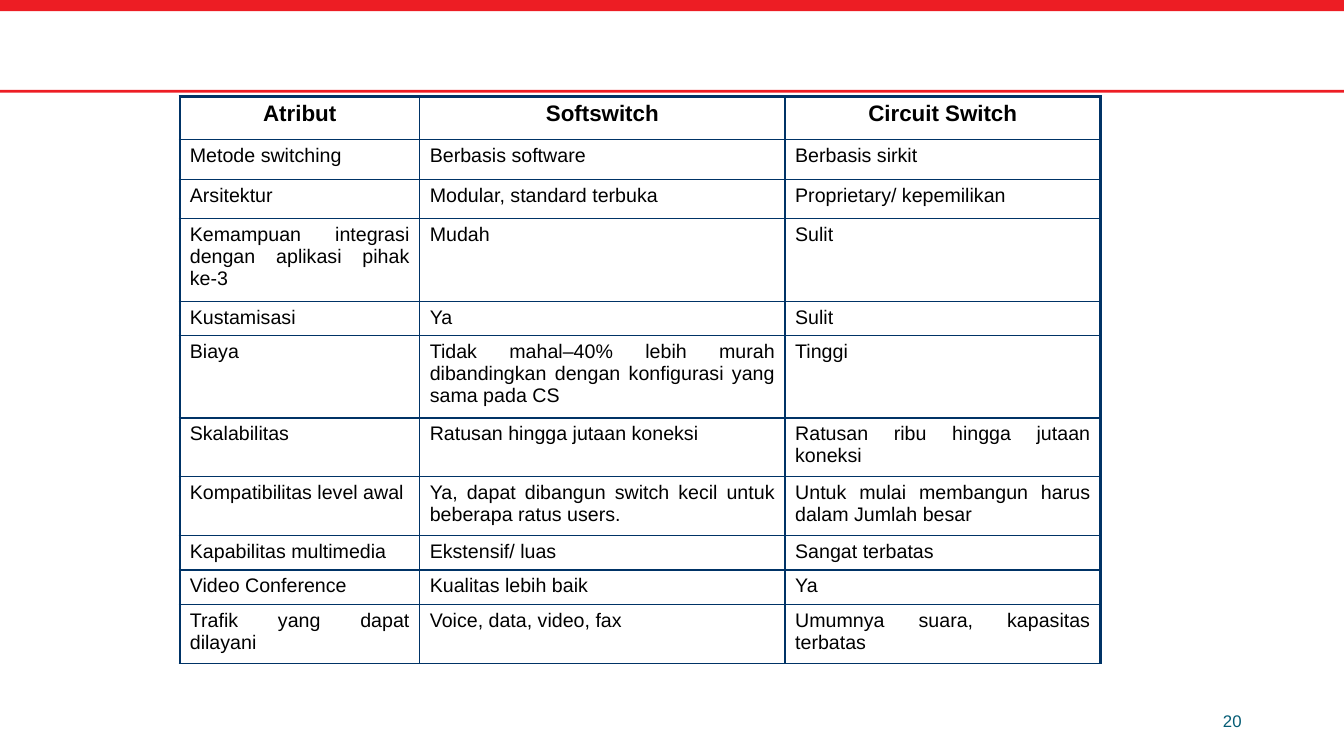
from lxml import etree
from pptx import Presentation
from pptx.dml.color import RGBColor
from pptx.enum.shapes import MSO_SHAPE
from pptx.enum.text import MSO_ANCHOR, PP_ALIGN
from pptx.oxml.ns import qn
from pptx.util import Pt

RECTANGLE = MSO_SHAPE.RECTANGLE
MIDDLE = MSO_ANCHOR.MIDDLE
CENTER, JUSTIFY, RIGHT = PP_ALIGN.CENTER, PP_ALIGN.JUSTIFY, PP_ALIGN.RIGHT

PAGE_WIDTH, PAGE_HEIGHT = 960, 540
RED, NAVY, TEAL, BLACK, WHITE = "ED1D24", "003366", "045C75", "000000", "FFFFFF"

COLUMN_WIDTHS = [171.4, 261, 225.3]
ROW_HEIGHTS = [30.8, 28.3, 28.3, 58.8, 24.7, 58.8, 41.9, 41.9, 24.7, 24.7, 41.9]
COMPARISON = [
    ("Atribut", "Softswitch", "Circuit Switch"),
    ("Metode switching", "Berbasis software", "Berbasis sirkit"),
    ("Arsitektur", "Modular, standard terbuka", "Proprietary/ kepemilikan"),
    ("Kemampuan integrasi dengan aplikasi pihak ke-3", "Mudah", "Sulit"),
    ("Kustamisasi", "Ya", "Sulit"),
    ("Biaya",
     "Tidak mahal–40% lebih murah dibandingkan dengan konfigurasi yang sama pada CS",
     "Tinggi"),
    ("Skalabilitas", "Ratusan hingga jutaan koneksi",
     "Ratusan ribu hingga jutaan koneksi"),
    ("Kompatibilitas level awal",
     "Ya, dapat dibangun switch kecil untuk beberapa ratus users.",
     "Untuk mulai membangun harus dalam Jumlah besar"),
    ("Kapabilitas multimedia", "Ekstensif/ luas", "Sangat terbatas"),
    ("Video Conference", "Kualitas lebih baik", "Ya"),
    ("Trafik yang dapat dilayani", "Voice, data, video, fax",
     "Umumnya suara, kapasitas terbatas"),
]


def color(value):
    return RGBColor.from_string(value)


def write_text(frame, text, size=14, bold=False, ink=BLACK, align=JUSTIFY):
    para = frame.paragraphs[0]
    para.alignment = align
    span = para.add_run()
    span.text = text
    span.font.name = "Arial"
    span.font.size = Pt(size)
    span.font.bold = bold
    span.font.color.rgb = color(ink)


def add_bar(page, left, top, width, height):
    bar = page.shapes.add_shape(RECTANGLE, Pt(left), Pt(top), Pt(width), Pt(height))
    bar.shadow.inherit = False
    bar.fill.solid()
    bar.fill.fore_color.rgb = color(RED)
    bar.line.fill.background()


def add_header(page, left, top, width):
    add_bar(page, left, top, width, 8)
    add_bar(page, left, top + 64.2, width, 2)


def add_page_number(page, left, top, width, height):
    box = page.shapes.add_textbox(Pt(left), Pt(top), Pt(width), Pt(height))
    frame = box.text_frame
    frame.word_wrap = True
    frame.vertical_anchor = MIDDLE
    write_text(frame, "20", size=12, ink=TEAL, align=RIGHT)


def set_borders(cell, widths):
    properties = cell._tc.get_or_add_tcPr()
    for position, (side, width) in enumerate(widths.items()):
        border = etree.Element(qn(f"a:ln{side}"), w=str(Pt(width)))
        fill = etree.SubElement(border, qn("a:solidFill"))
        etree.SubElement(fill, qn("a:srgbClr"), val=NAVY)
        properties.insert(position, border)


def add_comparison(page, left, top):
    rows, columns = len(ROW_HEIGHTS), len(COLUMN_WIDTHS)
    table = page.shapes.add_table(
        rows, columns, Pt(left), Pt(top),
        Pt(sum(COLUMN_WIDTHS)), Pt(sum(ROW_HEIGHTS))).table
    for column, width in zip(table.columns, COLUMN_WIDTHS):
        column.width = Pt(width)
    for row, height in zip(table.rows, ROW_HEIGHTS):
        row.height = Pt(height)
    for row_index, texts in enumerate(COMPARISON):
        heading = row_index == 0
        for column_index, text in enumerate(texts):
            cell = table.cell(row_index, column_index)
            cell.fill.solid()
            cell.fill.fore_color.rgb = color(WHITE)
            write_text(cell.text_frame, text, size=16 if heading else 14,
                       bold=heading, align=CENTER if heading else JUSTIFY)
            set_borders(cell, {
                "L": 2 if column_index == 0 else 1,
                "R": 2 if column_index == columns - 1 else 1,
                "T": 2 if heading else 1,
                "B": 1,
            })


def main():
    deck = Presentation()
    deck.slide_width, deck.slide_height = Pt(PAGE_WIDTH), Pt(PAGE_HEIGHT)
    page = deck.slides.add_slide(deck.slide_layouts[6])
    add_header(page, 0, 0, PAGE_WIDTH)
    add_page_number(page, 678, 500.5, 216, 28.8)
    add_comparison(page, 128.4, 69)
    deck.save("out.pptx")


if __name__ == "__main__":
    main()
